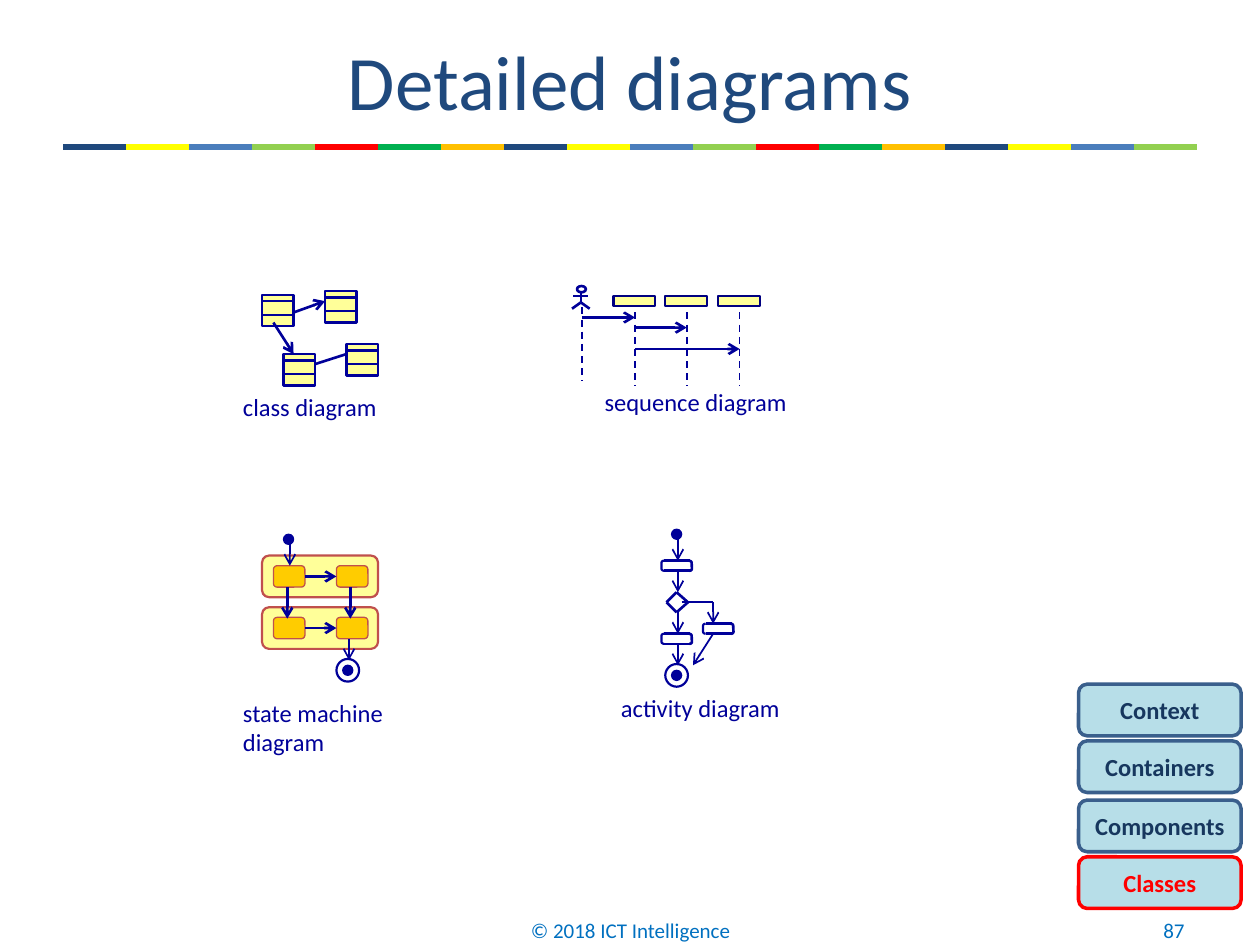
from pptx import Presentation
from pptx.dml.color import RGBColor
from pptx.enum.dml import MSO_LINE
from pptx.enum.shapes import MSO_CONNECTOR, MSO_SHAPE
from pptx.enum.text import MSO_ANCHOR, MSO_AUTO_SIZE, PP_ALIGN
from pptx.oxml.ns import qn
from pptx.util import Inches, Pt
from lxml import etree

RECT, ROUND, OVAL = MSO_SHAPE.RECTANGLE, MSO_SHAPE.ROUNDED_RECTANGLE, MSO_SHAPE.OVAL
BRACKET, STRAIGHT, DASH = MSO_SHAPE.LEFT_BRACKET, MSO_CONNECTOR.STRAIGHT, MSO_LINE.DASH
MIDDLE, TOP, FIT = MSO_ANCHOR.MIDDLE, MSO_ANCHOR.TOP, MSO_AUTO_SIZE.SHAPE_TO_FIT_TEXT
LEFT, CENTER, RIGHT = PP_ALIGN.LEFT, PP_ALIGN.CENTER, PP_ALIGN.RIGHT

THEME = {
    "font": "Calibri", "head": 44, "label": 14, "foot": 12,
    "title": "1F497D", "note": "0070C0", "ink": "000099", "bar": "000080",
    "pale": "FFFF99", "gold": "FFCC00", "edge": "C0504D",
    "tab": "B7DEE8", "rim": "3A5F8C", "dark": "17375E", "hot": "FF0000",
    "stripe": ["1F497D", "FFFF00", "4B7EBC", "92D050", "FF0000", "00B050", "FFC000"],
}
INK = THEME["ink"]

TITLE = "Detailed diagrams"
FOOTER = [("© 2018 ICT Intelligence", 3.42, 3.17, CENTER), ("87", 7.17, 2.33, RIGHT)]
# text, left, top, width, height, wrap
LABELS = [
    ("class diagram", 1.83, 3.06, 1.27, 0.34, False),
    ("sequence diagram", 4.7, 3.02, 1.66, 0.34, False),
    ("activity diagram", 4.83, 5.45, 1.48, 0.34, False),
    ("state machine diagram", 1.83, 5.49, 1.6, 0.57, True),
]
# text, top, current level
TABS = [("Context", 5.43, False), ("Containers", 5.88, False),
        ("Components", 6.35, False), ("Classes", 6.8, True)]

CLASSES = [(2.08, 2.34), (2.58, 2.31), (2.25, 2.81), (2.75, 2.73)]
# x1, y1, x2, y2, has arrowhead
LINKS = [(2.33, 2.48, 2.58, 2.39, True), (2.17, 2.56, 2.33, 2.81, True),
         (2.5, 2.89, 2.75, 2.81, False)]

LIVES = [5.04, 5.45, 5.87]
ACTOR = [(4.61, 2.32, 4.61, 2.4), (4.55, 2.35, 4.67, 2.35),
         (4.68, 2.45, 4.61, 2.4), (4.54, 2.45, 4.61, 2.4)]
CALLS = [(4.62, 5.04, 2.52), (5.04, 5.45, 2.6), (5.04, 5.87, 2.77)]

STATE_ROWS, STATE_COLS = [4.41, 4.82], [2.17, 2.67]
STATE_FLOWS = [(2.3, 4.32, 2.3, 4.49), (2.77, 5.07, 2.77, 5.24)]

ACTIONS = [(5.25, 4.45), (5.58, 4.95), (5.25, 5.03)]
CHOICE = [(5.37, 4.7), (5.46, 4.78), (5.37, 4.86), (5.29, 4.78)]
ACTION_FLOWS = [(5.38, y, 5.38, y + 0.17) for y in (4.28, 4.53, 4.86, 5.11)]
ACTION_FLOWS += [(5.66, 4.78, 5.66, 4.95), (5.66, 5.03, 5.5, 5.28)]


def rgb(code):
    return RGBColor.from_string(code)


def draw_line(host, ends, width=1.5, color=INK, arrow=False, dash=False):
    line = host.add_connector(STRAIGHT, *map(Inches, ends))
    line.line.width = Pt(width)
    line.line.color.rgb = rgb(color)
    if dash:
        line.line.dash_style = DASH
    props = line._element.spPr
    if arrow:
        etree.SubElement(props.find(qn("a:ln")), qn("a:tailEnd"), type="arrow")
    etree.SubElement(props, qn("a:effectLst"))
    return line


def draw_shape(host, kind, box, fill=None, color=INK, width=1.25, adjust=None):
    shape = host.add_shape(kind, *map(Inches, box))
    shape.shadow.inherit = False
    if fill:
        shape.fill.solid()
        shape.fill.fore_color.rgb = rgb(fill)
    else:
        shape.fill.background()
    shape.line.color.rgb = rgb(color)
    shape.line.width = Pt(width)
    if adjust is not None:
        shape.adjustments[0] = adjust
    return shape


def write(shape, text, size, color, align=LEFT, anchor=MIDDLE, bold=False, wrap=True):
    frame = shape.text_frame
    frame.word_wrap = wrap
    frame.vertical_anchor = anchor
    para = frame.paragraphs[0]
    para.alignment = align
    run = para.add_run()
    run.text = text
    font = run.font
    font.name, font.size, font.bold = THEME["font"], Pt(size), bold
    font.color.rgb = rgb(color)
    return frame


def draw_dot(host, left, top):
    draw_shape(host, OVAL, (left, top, 0.08, 0.08), INK, width=0.75)


def draw_end(host, left, top):
    """Final node: a dot inside a ring."""
    draw_dot(host, left + 0.05, top + 0.05)
    draw_shape(host, OVAL, (left, top, 0.18, 0.18))


def draw_frame(slide, host):
    for i in range(18):
        x = 0.5 + i * 0.5
        stripe = THEME["stripe"]
        draw_line(host, (x, 1.17, x + 0.5, 1.17), 3.5, stripe[i % len(stripe)])
    title = slide.shapes.title
    title.left, title.top, title.width, title.height = map(Inches, (0.5, 0.17, 9, 0.92))
    write(title, TITLE, THEME["head"], THEME["title"], CENTER)
    for text, left, width, align in FOOTER:
        box = host.add_textbox(*map(Inches, (left, 7.18, width, 0.4)))
        write(box, text, THEME["foot"], THEME["note"], align)


def draw_classes(host):
    for x, y in CLASSES:
        group = host.add_group_shape().shapes
        draw_shape(group, RECT, (x, y, 0.25, 0.25), THEME["pale"])
        for gap in (0.05, 0.16):
            draw_line(group, (x, y + gap, x + 0.25, y + gap))
    for *ends, arrow in LINKS:
        draw_line(host, ends, arrow=arrow)


def draw_sequence(host):
    for x in LIVES:
        draw_line(host, (x, 2.48, x, 3.06), 1, dash=True)
        draw_shape(host, RECT, (x - 0.17, 2.35, 0.33, 0.08), THEME["pale"], THEME["bar"])
    actor = host.add_group_shape().shapes
    draw_shape(actor, OVAL, (4.58, 2.27, 0.07, 0.05), width=1.5)
    for limb in ACTOR:
        draw_line(actor, limb)
    draw_line(host, (4.62, 2.44, 4.62, 3.02), 1, dash=True)
    for start, end, y in CALLS:
        draw_line(host, (start, y, end, y), arrow=True)


def draw_states(host):
    for top in STATE_ROWS:
        draw_shape(host, ROUND, (2.08, top, 0.92, 0.33), THEME["pale"], THEME["edge"])
        pair = [draw_shape(host, ROUND, (x, top + 0.08, 0.25, 0.17), THEME["gold"],
                           THEME["edge"], 0.75) for x in STATE_COLS]
        y = top + 0.17
        step = draw_line(host, (2.42, y, 2.67, y), arrow=True)
        step.begin_connect(pair[0], 3)
        step.end_connect(pair[1], 1)
    for x in STATE_COLS:
        draw_line(host, (x + 0.11, 4.66, x + 0.11, 4.91), arrow=True)
    draw_dot(host, 2.25, 4.24)
    draw_end(host, 2.67, 5.23)
    for ends in STATE_FLOWS:
        draw_line(host, ends, 1, arrow=True)


def draw_activity(host):
    choice = host.add_group_shape().shapes
    for start, end in zip(CHOICE, CHOICE[1:] + CHOICE[:1]):
        draw_line(choice, start + end)
    draw_dot(host, 5.33, 4.2)
    draw_end(host, 5.28, 5.27)
    for x, y in ACTIONS:
        group = host.add_group_shape().shapes
        for edge in (y, y + 0.08):
            draw_line(group, (x + 0.23, edge, x + 0.02, edge))
        draw_shape(group, BRACKET, (x, y, 0.02, 0.08), adjust=0.74)
        close = draw_shape(group, BRACKET, (x + 0.22, y, 0.02, 0.08), width=1.5, adjust=0.75)
        close.rotation = 177.6
    for ends in ACTION_FLOWS:
        draw_line(host, ends, 1, arrow=True)
    draw_line(host, (5.41, 4.78, 5.66, 4.78), 1)


def draw_text(host):
    for text, *box, wrap in LABELS:
        label = host.add_textbox(*map(Inches, box))
        frame = write(label, text, THEME["label"], INK, anchor=TOP, wrap=wrap)
        frame.auto_size = FIT
    for text, top, current in TABS:
        rim, ink = (THEME["hot"],) * 2 if current else (THEME["rim"], THEME["dark"])
        tab = draw_shape(host, ROUND, (8.56, top, 1.29, 0.41), THEME["tab"], rim, 2)
        write(tab, text, THEME["label"], ink, CENTER, bold=True)


def main():
    deck = Presentation()
    deck.slide_width, deck.slide_height = Inches(10), Inches(7.5)
    slide = deck.slides.add_slide(deck.slide_layouts[5])
    host = slide.shapes
    draw_frame(slide, host)
    for draw in (draw_classes, draw_sequence, draw_states, draw_activity, draw_text):
        draw(host)
    deck.save("out.pptx")


if __name__ == "__main__":
    main()
